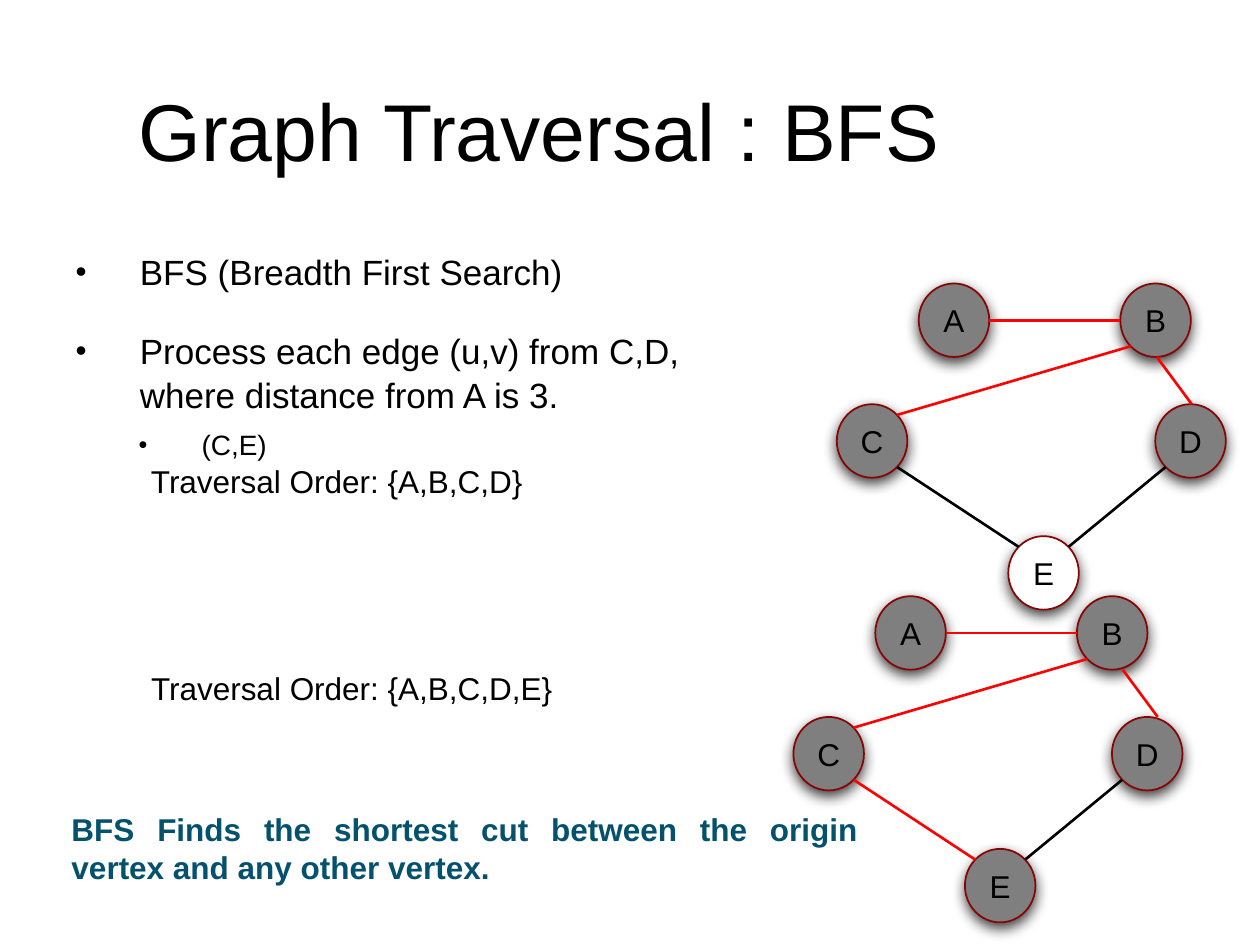
import pptx
import pptx.util
import pptx.dml.color
import pptx.enum.shapes
import pptx.enum.text
import pptx.oxml
import pptx.oxml.ns

Pt = pptx.util.Pt
ALIGN = pptx.enum.text.PP_ALIGN
ANCHOR = pptx.enum.text.MSO_ANCHOR
AUTOSIZE = pptx.enum.text.MSO_AUTO_SIZE
COLORS = {
    "text": "000000", "note": "04516D", "visited": "7F7F7F", "unvisited": "FFFFFF",
    "outline": "860605", "used": "FF0000", "unused": "000000",
}
RGB = {name: pptx.dml.color.RGBColor.from_string(value) for name, value in COLORS.items()}
NAMESPACE = pptx.oxml.ns.nsdecls("a")
NODE_SHADOW = (
    f'<a:effectLst {NAMESPACE}><a:outerShdw blurRad="101600" dist="38100" dir="5400000" '
    'rotWithShape="0"><a:srgbClr val="000000"><a:alpha val="75000"/></a:srgbClr>'
    '</a:outerShdw></a:effectLst>'
)


def write(paragraph, text, size=18, color="text", bold=False, align=ALIGN.LEFT,
          before=0, bullet_indent=None, hang=36):
    run = paragraph.add_run()
    run.text = text
    run.font.name = "Arial"
    run.font.size = Pt(size)
    run.font.bold = bold
    run.font.color.rgb = RGB[color]
    paragraph.alignment = align
    paragraph.space_before = Pt(before)
    if bullet_indent is not None:
        paragraph.line_spacing = 1.05
        properties = paragraph._p.get_or_add_pPr()
        properties.set("marL", str(Pt(bullet_indent)))
        properties.set("indent", str(-Pt(hang)))
        for bullet in ('buSzPct {} val="90000"', 'buFont {} typeface="Arial"', 'buChar {} char="•"'):
            properties.append(pptx.oxml.parse_xml(f"<a:{bullet.format(NAMESPACE)}/>"))


def draw_edge(shapes, start, end, color):
    edge = shapes.add_connector(pptx.enum.shapes.MSO_CONNECTOR.STRAIGHT,
                                *(Pt(round(value, 2)) for value in start + end))
    edge.line.color.rgb = RGB[color]
    edge.line.width = Pt(1.5)
    edge._element.spPr.append(pptx.oxml.parse_xml(f"<a:effectLst {NAMESPACE}/>"))


presentation = pptx.Presentation()
presentation.slide_width, presentation.slide_height = Pt(720), Pt(540)
slide = presentation.slides.add_slide(presentation.slide_layouts[1])

# Title
title = slide.shapes.title
title.left, title.top, title.width, title.height = Pt(72), Pt(39.6), Pt(576), Pt(68.4)
title.text_frame.vertical_anchor = ANCHOR.MIDDLE
title.text_frame.auto_size = AUTOSIZE.NONE
write(title.text_frame.paragraphs[0], "Graph Traversal : BFS", size=46)

# Bullet list
steps = slide.placeholders[1]
steps.left, steps.top, steps.width, steps.height = Pt(36), Pt(138.2), Pt(383), Pt(344)
steps.text_frame.auto_size = AUTOSIZE.NONE
bullets = [
    ("BFS (Breadth First Search)", 0, 20, 20, 36.7, 36.7),
    ("Process each edge (u,v) from C,D, where distance from A is 3.", 0, 20, 20, 36.7, 36.7),
    ("(C,E)", 1, 16, 6, 72, 36),
]
for index, (text, level, size, before, indent, hang) in enumerate(bullets):
    frame = steps.text_frame
    step = frame.add_paragraph() if index else frame.paragraphs[0]
    step.level = level
    write(step, text, size=size, before=before, bullet_indent=indent, hang=hang)

# Graphs: node offsets from the graph's corner, and edges between compass points
NODE_WIDTH, NODE_HEIGHT = 40.3, 42
NODES = {"A": (46.8, 0), "B": (162, 0), "C": (0, 69), "D": (182, 69), "E": (98, 144.4)}
DIAGONAL = 0.71
COMPASS = {
    "N": (0, -1), "S": (0, 1), "W": (-1, 0), "E": (1, 0),
    "NW": (-DIAGONAL, -DIAGONAL), "NE": (DIAGONAL, -DIAGONAL),
    "SW": (-DIAGONAL, DIAGONAL), "SE": (DIAGONAL, DIAGONAL),
}
EDGES = [("A", "E", "B", "W"), ("D", "SW", "E", "NE"), ("E", "NW", "C", "SE"),
         ("B", "SW", "C", "NE"), ("B", "S", "D", "N")]
# corner, unvisited nodes, unused edges, sideways shift of edge BD
GRAPHS = [
    ((453.4, 340.7), "", ["DE"], 6),
    ((478.2, 162), "E", ["DE", "EC"], 0.7),
]
for (left, top), unvisited, unused, shift in GRAPHS:
    graph = slide.shapes.add_group_shape()
    for name, (x, y) in NODES.items():
        node = graph.shapes.add_shape(pptx.enum.shapes.MSO_SHAPE.OVAL, Pt(left + x), Pt(top + y),
                                      Pt(NODE_WIDTH), Pt(NODE_HEIGHT))
        node.fill.solid()
        node.fill.fore_color.rgb = RGB["unvisited" if name in unvisited else "visited"]
        node.line.color.rgb = RGB["outline"]
        node.line.width = Pt(1)
        node._element.spPr.append(pptx.oxml.parse_xml(NODE_SHADOW))
        label = node.text_frame
        label.margin_left = label.margin_right = 0
        label.vertical_anchor = ANCHOR.MIDDLE
        write(label.paragraphs[0], name, align=ALIGN.CENTER)
    for first, first_side, second, second_side in EDGES:
        loose = first + second == "BD"
        ends = []
        for name, side in ((first, first_side), (second, second_side)):
            x, y = NODES[name]
            dx, dy = COMPASS[side]
            ends.append((left + x + NODE_WIDTH / 2 * (1 + dx) + (shift if loose else 0),
                         top + y + NODE_HEIGHT / 2 * (1 + dy)))
        draw_edge(slide.shapes if loose else graph.shapes, *ends,
                  "unused" if first + second in unused else "used")

# Traversal orders and closing note
captions = [
    ("Traversal Order: {A,B,C,D}", (79.2, 260.6, 236, 29), False, {}),
    ("Traversal Order: {A,B,C,D,E}", (79.2, 378.7, 250.6, 29), False, {}),
    ("BFS Finds the shortest cut between the origin vertex and any other vertex.",
     (33.8, 459.4, 463.7, 51), True, {"color": "note", "bold": True, "align": ALIGN.JUSTIFY}),
]
for text, box, wrap, style in captions:
    caption = slide.shapes.add_textbox(*(Pt(value) for value in box))
    caption.text_frame.word_wrap = wrap
    caption.text_frame.auto_size = AUTOSIZE.SHAPE_TO_FIT_TEXT
    write(caption.text_frame.paragraphs[0], text, **style)

presentation.save("out.pptx")
